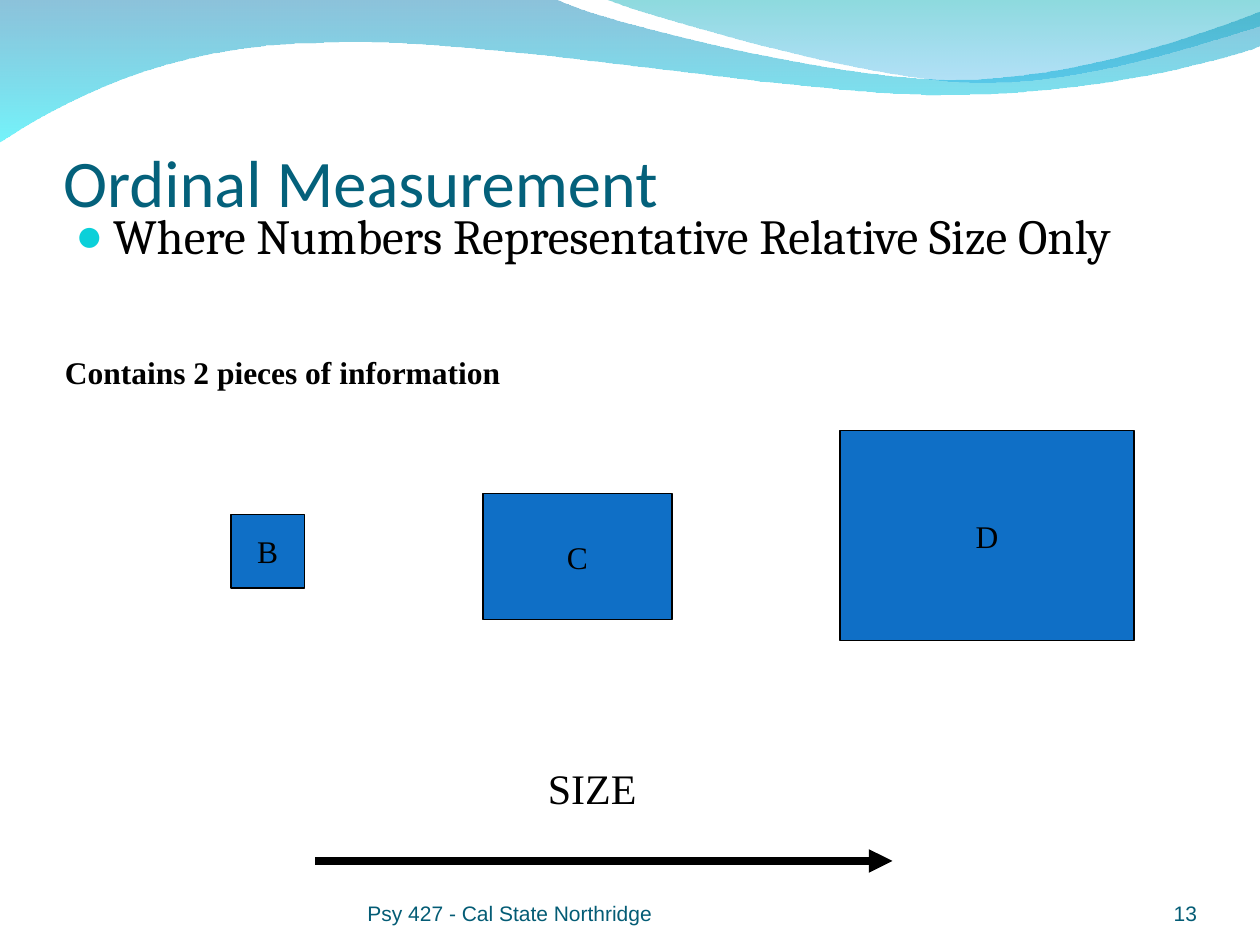
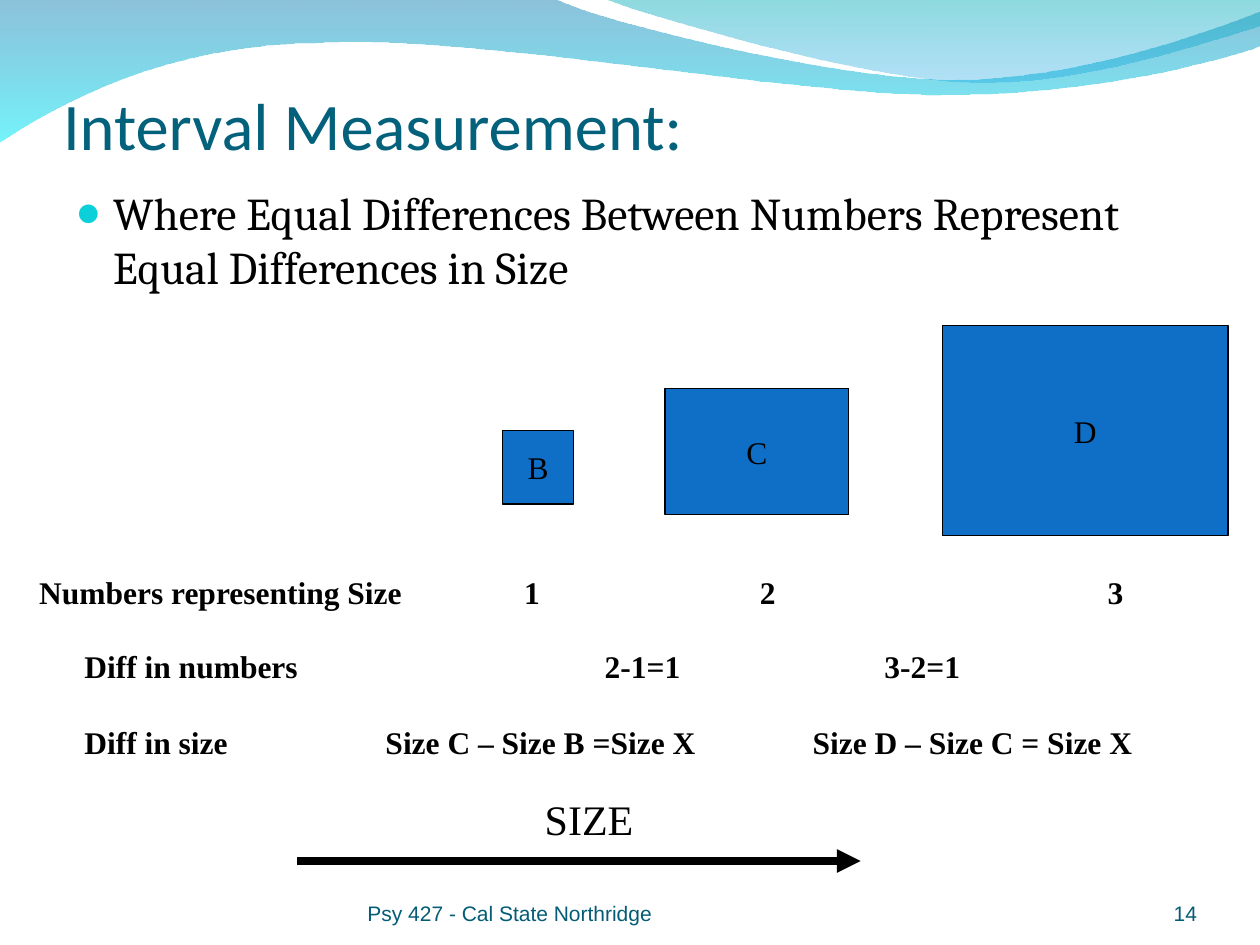
from dataclasses import dataclass
from typing import NamedTuple

from pptx import Presentation
from pptx.dml.color import RGBColor
from pptx.enum.shapes import MSO_CONNECTOR, MSO_SHAPE
from pptx.enum.text import MSO_ANCHOR, MSO_AUTO_SIZE, PP_ALIGN
from pptx.oxml.ns import qn
from pptx.oxml.xmlchemy import OxmlElement
from pptx.util import Inches, Pt

TOP, MIDDLE, BOTTOM = MSO_ANCHOR.TOP, MSO_ANCHOR.MIDDLE, MSO_ANCHOR.BOTTOM
LEFT, CENTER, RIGHT = PP_ALIGN.LEFT, PP_ALIGN.CENTER, PP_ALIGN.RIGHT
RECTANGLE, STRAIGHT = MSO_SHAPE.RECTANGLE, MSO_CONNECTOR.STRAIGHT
NO_AUTOFIT = MSO_AUTO_SIZE.NONE

WIDTH, HEIGHT = 10, 7.5
COLUMNS = 120  # square grid, so 90 rows
UNIT = Inches(WIDTH) / COLUMNS
TITLE_ONLY = 5
PADDING = (0.1, 0.05, 0.1, 0.05)
NO_PADDING = (0, 0, 0, 0)
LINE_ROWS = 4.8


@dataclass(frozen=True)
class Style:
    font: str
    size: float
    color: str
    bold: bool = False


class Theme:
    black, block, bullet = "000000", "0F6FC6", "0BD0D9"
    title = Style("Calibri", 38, "04617B")
    body = Style("Cambria", 28, black)
    body_small = Style("Cambria", 26, black)
    footer = Style("Arial", 12, "045C75")
    label = Style("Times New Roman", 18, black)
    strong = Style("Times New Roman", 18, black, True)
    axis = Style("Times New Roman", 24, black)


class Box(NamedTuple):
    """Left, top, width and height in grid units."""
    x: float
    y: float
    w: float
    h: float

    def inner(self, x, y, w, h):
        return Box(self.x + x, self.y + y, w, h)

    def lengths(self):
        return [round(value * UNIT) for value in self]


# Each wave: start, then segments of one point (line) or three (curve),
# in hundredths of an inch.
WAVES = [
    dict(start=(0, -1),
         segments=[[(440, -1)],
                   [(476, 17), (664, 63), (758, 63)],
                   [(853, 63), (958, 26), (1000, 9)],
                   [(1001, 36)],
                   [(983, 44), (870, 76), (746, 75)],
                   [(622, 75), (382, 28), (257, 34)],
                   [(129, 35), (46, 83), (-1, 113)]],
         stops=[("0079AF", 45), ("00EBF8", 55)]),
    dict(start=(479, -1),
         segments=[[(509, 11), (682, 62), (769, 65)],
                   [(856, 69), (961, 32), (1000, 21)],
                   [(1000, 0)]],
         stops=[("00ADB6", 45), ("009BE5", 30)]),
]


def rgb(value):
    return RGBColor.from_string(value)


def set_all(target, **values):
    for name, value in values.items():
        setattr(target, name, value)


def add_xml(parent, tag, **attributes):
    child = OxmlElement(tag)
    for name, value in attributes.items():
        child.set(name, str(value))
    parent.append(child)
    return child


def write(shape, lines, style, align=LEFT, anchor=TOP, padding=PADDING,
          wrap=True, gap=0, bullet=False, tabs=()):
    """Fill a shape with lines; tabs gives one list of stops per line."""
    frame = shape.text_frame
    left, top, right, bottom = map(Inches, padding)
    set_all(frame, auto_size=NO_AUTOFIT, word_wrap=wrap, vertical_anchor=anchor,
            margin_left=left, margin_top=top, margin_right=right, margin_bottom=bottom)
    for index, line in enumerate(lines):
        para = frame.add_paragraph() if index else frame.paragraphs[0]
        para.alignment = align
        if index:
            para.space_before = Pt(gap)
        if bullet:
            add_bullet(para)
        if tabs:
            stops = add_xml(para._p.get_or_add_pPr(), "a:tabLst")
            for stop in tabs[index]:
                add_xml(stops, "a:tab", pos=Inches(stop), algn="l")
        span = para.add_run()
        span.text = line
        set_all(span.font, name=style.font, size=Pt(style.size), bold=style.bold)
        span.font.color.rgb = rgb(style.color)


def add_bullet(para):
    props = para._p.get_or_add_pPr()
    props.set("marL", str(Inches(0.3)))
    props.set("indent", str(-Inches(0.3)))
    add_xml(add_xml(props, "a:buClr"), "a:srgbClr", val=Theme.bullet)
    add_xml(props, "a:buSzPct", val=95000)
    add_xml(props, "a:buFont", typeface="Arial")
    add_xml(props, "a:buChar", char="●")


def add_text(page, box, lines, style, **options):
    write(page.shapes.add_textbox(*box.lengths()), lines, style, **options)


def bend_lines(shape, segments):
    """Join each three lines that stand for a curve into one cubic curve."""
    lines = iter(list(shape.element.spPr.iter(qn("a:lnTo"))))
    for segment in segments:
        parts = [next(lines) for point in segment]
        if len(parts) == 3:
            curve = OxmlElement("a:cubicBezTo")
            parts[0].addprevious(curve)
            for part in parts:
                curve.append(part[0])
                part.getparent().remove(part)


def add_waves(page):
    """Draw the header waves and hand them to the layout all slides share."""
    layout_tree = page.slide_layout.shapes.element
    for index, wave in enumerate(WAVES):
        builder = page.shapes.build_freeform(*wave["start"], scale=Inches(0.01))
        builder.add_line_segments(
            [point for segment in wave["segments"] for point in segment])
        shape = builder.convert_to_shape()
        bend_lines(shape, wave["segments"])
        shape.shadow.inherit = False
        shape.line.fill.background()
        shape.fill.gradient()
        shape.fill.gradient_angle = 270
        for stop, (color, opacity) in zip(shape.fill.gradient_stops, wave["stops"]):
            stop.color.rgb = rgb(color)
        colors = shape.element.spPr.iter(qn("a:srgbClr"))
        for element, (color, opacity) in zip(list(colors), wave["stops"]):
            add_xml(element, "a:alpha", val=opacity * 1000)
        shape.element.nvSpPr.cNvPr.set("id", str(100 + index))
        layout_tree.insert(2 + index, shape.element)


def add_title(page, box, text, anchor, padding):
    title = page.shapes.title
    left, top, width, height = box.lengths()
    set_all(title, left=left, top=top, width=width, height=height)
    write(title, [text], Theme.title, anchor=anchor, padding=padding)


def add_footer(page, box, number):
    options = dict(anchor=BOTTOM, padding=NO_PADDING)
    add_text(page, box.inner(0, 0, 44, box.h), ["Psy 427 - Cal State Northridge"],
             Theme.footer, **options)
    add_text(page, box.inner(box.w - 10, 0, 10, box.h), [str(number)],
             Theme.footer, align=RIGHT, **options)


def add_blocks(page, box, blocks):
    """Draw lettered rectangles; each is a letter and a place inside the box."""
    for letter, place in blocks.items():
        block = page.shapes.add_shape(RECTANGLE, *box.inner(*place).lengths())
        block.shadow.inherit = False
        block.fill.solid()
        block.fill.fore_color.rgb = rgb(Theme.block)
        block.line.color.rgb = rgb(Theme.black)
        block.line.width = Pt(0.75)
        write(block, [letter], Theme.label, align=CENTER, anchor=MIDDLE, wrap=False)


def add_size_arrow(page, box, label_column):
    """Put the SIZE label above an arrow that runs along the bottom edge."""
    add_text(page, box.inner(label_column, 0, 12, 6), ["SIZE"], Theme.axis)
    left, top, width, height = box.lengths()
    arrow = page.shapes.add_connector(STRAIGHT, left, top + height,
                                      left + width, top + height)
    arrow.line.color.rgb = rgb(Theme.black)
    arrow.line.width = Pt(4.5)
    add_xml(arrow.line._ln, "a:tailEnd", type="triangle")
    add_xml(arrow.element.spPr, "a:effectLst")


def add_comparison(page, box):
    """Write the numbers under the blocks and the rows of differences."""
    add_text(page, box.inner(0, 0, 37, LINE_ROWS), ["Numbers representing Size"],
             Theme.strong, wrap=False)
    for number, column in enumerate((46.2, 68.65, 101.75), start=1):
        add_text(page, box.inner(column, 0, 3.8, LINE_ROWS), [str(number)],
                 Theme.strong, wrap=False)
    add_text(page, box.inner(4.3, 7, 104.3, 15.6),
             ["Diff in numbers\t2-1=1\t3-2=1",
              "Diff in size\tSize C – Size B =Size X\tSize D – Size C = Size X"],
             Theme.strong, gap=22, tabs=[(4.13, 6.35), (2.39, 5.78)])


def add_page(deck, number):
    page = deck.slides.add_slide(deck.slide_layouts[TITLE_ONLY])
    add_footer(page, Box(35, 83.4, 79, LINE_ROWS), number)
    return page


def ordinal_slide(deck):
    page = add_page(deck, 13)
    add_waves(page)
    add_title(page, Box(6, 3, 108, 18), "Ordinal Measurement", BOTTOM, (0, 0.05, 0, 0))
    add_text(page, Box(6, 19, 108, 51),
             ["Where Numbers Representative Relative Size Only"], Theme.body, bullet=True)
    add_blocks(page, Box(22, 41, 86, 20),
               {"B": (0, 8, 7, 7), "C": (24, 6, 18, 12), "D": (58, 0, 28, 20)})
    add_size_arrow(page, Box(30, 72, 55, 10), 21)
    add_text(page, Box(5, 33, 44, LINE_ROWS), ["Contains 2 pieces of information"],
             Theme.strong, wrap=False)


def interval_slide(deck):
    page = add_page(deck, 14)
    add_title(page, Box(6, 8, 108, 15), "Interval Measurement:", TOP, NO_PADDING)
    add_text(page, Box(6, 17, 112, 14),
             ["Where Equal Differences Between Numbers Represent "
              "Equal Differences in Size"], Theme.body_small, bullet=True)
    add_blocks(page, Box(47.85, 31, 69.1, 20),
               {"B": (0, 10, 6.8, 7), "C": (15.5, 6, 17.5, 12), "D": (41.9, 0, 27.2, 20)})
    add_size_arrow(page, Box(28.3, 75, 53.66, 7), 22.4)
    add_comparison(page, Box(2.55, 54, 109, 23))


def main():
    deck = Presentation()
    set_all(deck, slide_width=Inches(WIDTH), slide_height=Inches(HEIGHT))
    ordinal_slide(deck)
    interval_slide(deck)
    deck.save("out.pptx")


if __name__ == "__main__":
    main()
